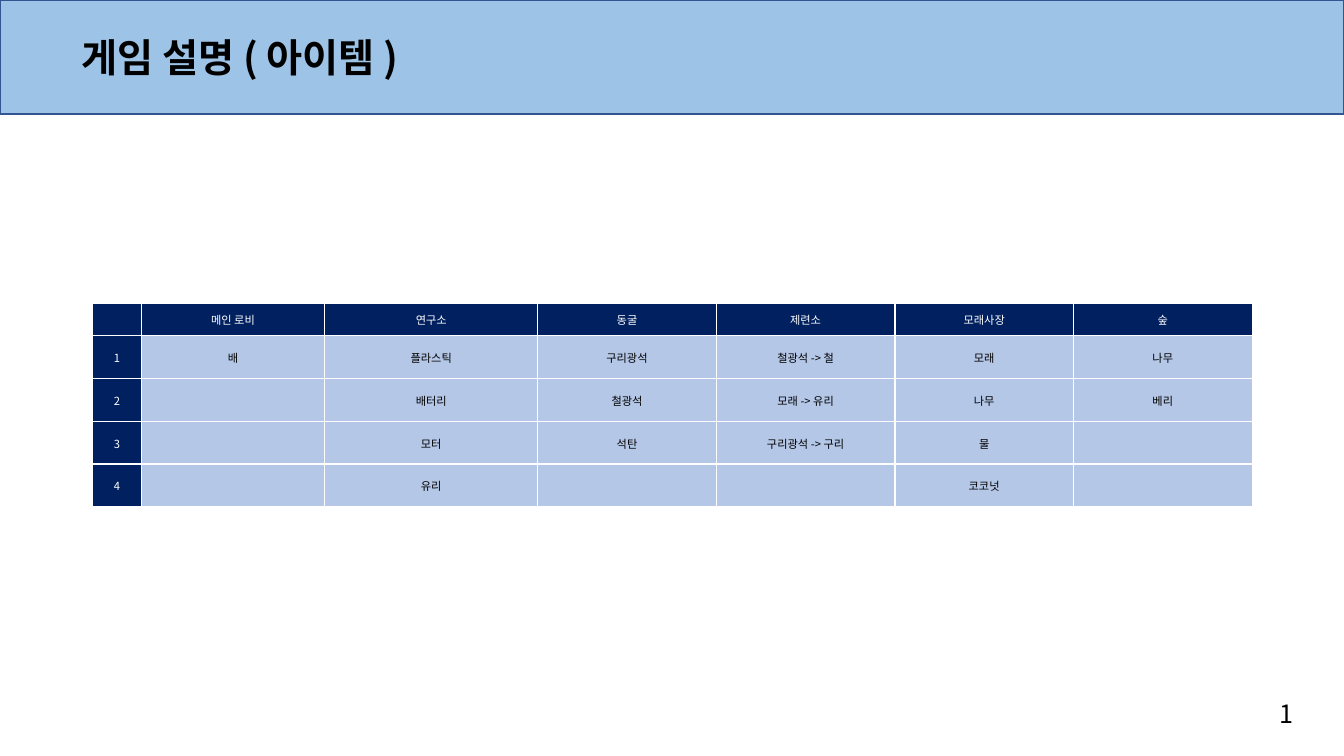
from dataclasses import dataclass

from lxml.etree import SubElement
from pptx import Presentation
from pptx.dml.color import RGBColor
from pptx.enum.shapes import MSO_SHAPE
from pptx.enum.text import MSO_ANCHOR, MSO_AUTO_SIZE, PP_ALIGN
from pptx.oxml.ns import qn
from pptx.util import Inches, Pt


@dataclass(frozen=True)
class Theme:
    typeface: str = "Noto Sans CJK KR"
    band: str = "9DC3E6"
    band_line: str = "325491"
    header: str = "002060"
    body: str = "B4C7E7"
    light: str = "FFFFFF"
    dark: str = "000000"
    title_size: int = 28
    number_size: int = 18
    cell_size: int = 8


THEME = Theme()
SLIDE_WIDTH, SLIDE_HEIGHT = Inches(13.33), Inches(7.5)

PLACES = ["메인 로비", "연구소", "동굴", "제련소", "모래사장", "숲"]
ITEMS = [
    ["배", "플라스틱", "구리광석", "철광석 -> 철", "모래", "나무"],
    ["", "배터리", "철광석", "모래 -> 유리", "나무", "베리"],
    ["", "모터", "석탄", "구리광석 -> 구리", "물", ""],
    ["", "유리", "", "", "코코넛", ""],
]
COLUMN_WIDTHS = [0.48, 1.82, 2.11] + [1.77] * 4
ROW_HEIGHTS = [0.32] + [0.425] * len(ITEMS)


def write(paragraph, text, size, color, align=PP_ALIGN.LEFT, bold=False):
    """Fill a paragraph and set its Latin and East Asian typeface."""
    paragraph.text = text
    paragraph.alignment = align
    paragraph.line_spacing = 1.0
    font = paragraph.font
    font.size, font.bold, font.name = Pt(size), bold, THEME.typeface
    font.color.rgb = RGBColor.from_string(color)
    defaults = paragraph._p.pPr.find(qn("a:defRPr"))
    SubElement(defaults, qn("a:ea"), typeface=THEME.typeface)
    if not text:
        SubElement(paragraph._p, qn("a:endParaRPr"), sz=str(size * 100))


def add_title_band(slide, left, top, width, height):
    band = slide.shapes.add_shape(MSO_SHAPE.RECTANGLE, left, top, width, height)
    band.shadow.inherit = False
    band.fill.solid()
    band.fill.fore_color.rgb = RGBColor.from_string(THEME.band)
    band.line.color.rgb = RGBColor.from_string(THEME.band_line)
    band.line.width = Pt(1)

    title = slide.shapes.title
    band.element.addnext(title.element)
    title.left, title.top = left + int(width * 0.053), top + height // 4
    title.width, title.height = int(width * 0.347), height // 2
    frame = title.text_frame
    frame.auto_size = MSO_AUTO_SIZE.SHAPE_TO_FIT_TEXT
    frame.vertical_anchor = MSO_ANCHOR.TOP
    write(frame.paragraphs[0], "게임 설명 ( 아이템 )", THEME.title_size, THEME.dark, bold=True)


def format_cell(cell, text, is_header):
    cell.margin_left = cell.margin_right = cell.margin_top = Inches(0.01)
    cell.margin_bottom = 0
    cell.vertical_anchor = MSO_ANCHOR.MIDDLE
    properties = cell._tc.get_or_add_tcPr()
    for side in ("lnL", "lnR", "lnT", "lnB"):
        border = SubElement(properties, qn(f"a:{side}"), w=str(Pt(1)))
        paint = SubElement(border, qn("a:solidFill"))
        SubElement(paint, qn("a:srgbClr"), val=THEME.light)
    cell.fill.solid()
    cell.fill.fore_color.rgb = RGBColor.from_string(THEME.header if is_header else THEME.body)
    color = THEME.light if is_header else THEME.dark
    write(cell.text_frame.paragraphs[0], text, THEME.cell_size, color, PP_ALIGN.CENTER)


def add_item_table(slide, left, top, width, height):
    """Place the items by location; widths and heights are shares of the box."""
    rows = [["", *PLACES]] + [[str(n), *items] for n, items in enumerate(ITEMS, 1)]
    table = slide.shapes.add_table(len(rows), len(rows[0]), left, top, width, height).table
    table.first_row = table.horz_banding = False
    for column, share in zip(table.columns, COLUMN_WIDTHS):
        column.width = int(width * share / sum(COLUMN_WIDTHS))
    for row, share in zip(table.rows, ROW_HEIGHTS):
        row.height = int(height * share / sum(ROW_HEIGHTS))
    for r, texts in enumerate(rows):
        for c, text in enumerate(texts):
            format_cell(table.cell(r, c), text, is_header=r == 0 or c == 0)


def add_page_number(slide, left, top, width, height):
    frame = slide.shapes.add_textbox(left, top, width, height).text_frame
    frame.word_wrap = False
    frame.auto_size = MSO_AUTO_SIZE.SHAPE_TO_FIT_TEXT
    write(frame.paragraphs[0], "1", THEME.number_size, THEME.dark)


def main():
    deck = Presentation()
    deck.slide_width, deck.slide_height = SLIDE_WIDTH, SLIDE_HEIGHT
    slide = deck.slides.add_slide(deck.slide_layouts[5])
    add_title_band(slide, 0, 0, SLIDE_WIDTH, Inches(1.13))
    add_item_table(slide, Inches(0.92), Inches(3.01), Inches(11.5), Inches(2.02))
    add_page_number(slide, Inches(12.59), Inches(6.88), Inches(0.34), Inches(0.4))
    deck.save("out.pptx")


if __name__ == "__main__":
    main()
